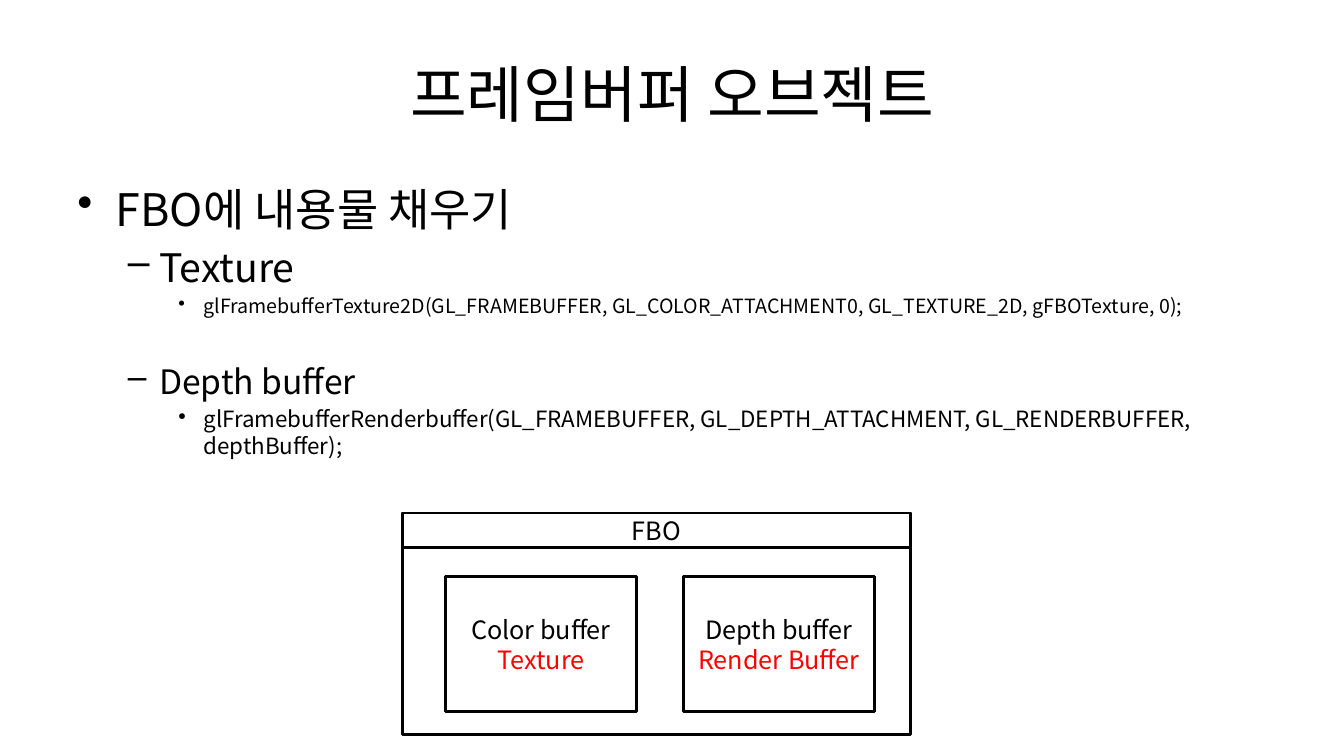
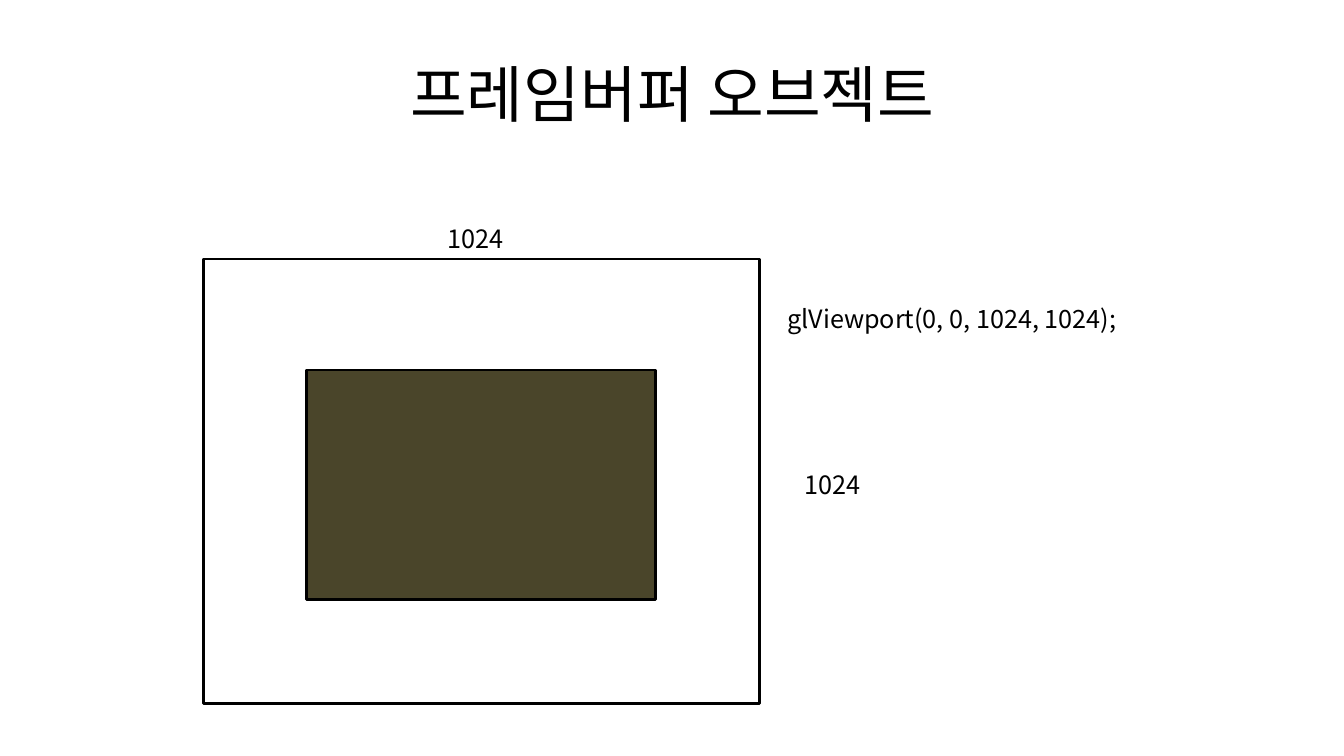
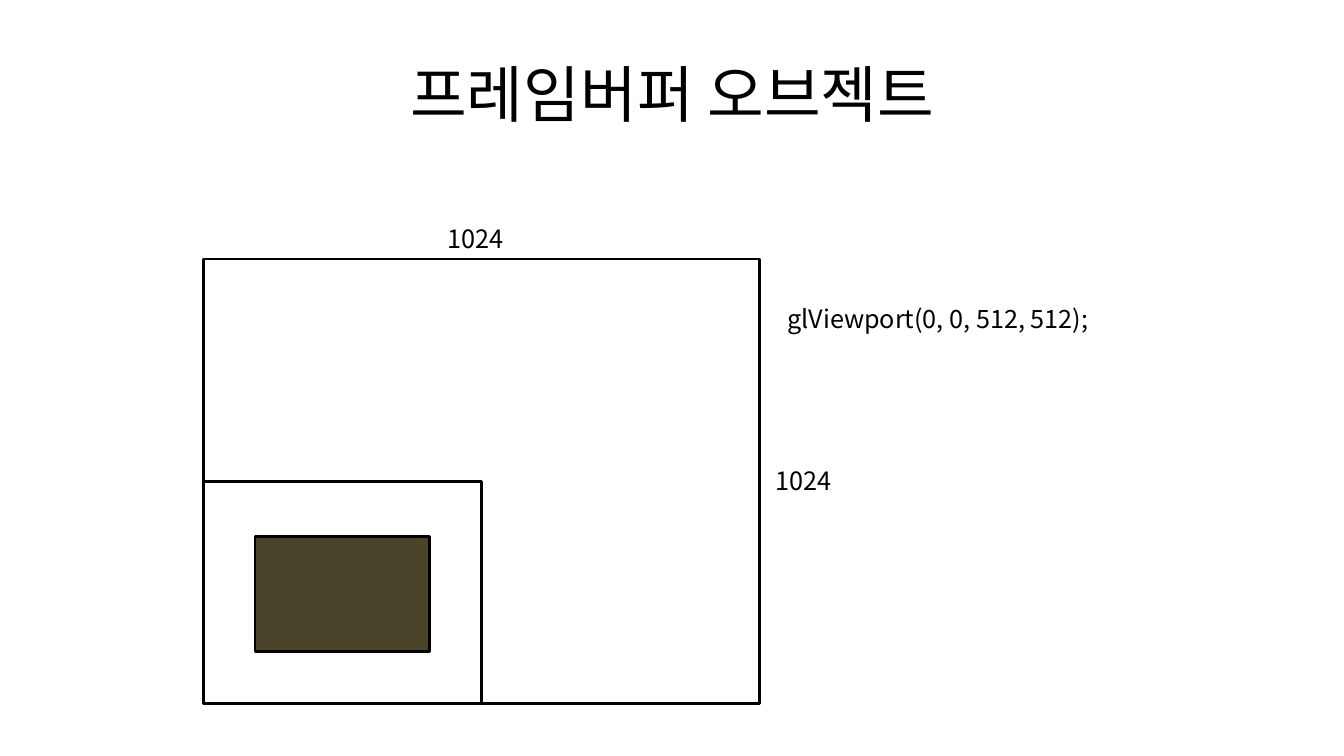
from dataclasses import dataclass

from lxml import etree
from pptx import Presentation
from pptx.dml.color import RGBColor
from pptx.enum.shapes import MSO_SHAPE
from pptx.enum.text import MSO_ANCHOR, PP_ALIGN
from pptx.oxml.ns import qn
from pptx.util import Inches, Pt

RECTANGLE = MSO_SHAPE.RECTANGLE
MIDDLE, TOP = MSO_ANCHOR.MIDDLE, MSO_ANCHOR.TOP
CENTER, LEFT = PP_ALIGN.CENTER, PP_ALIGN.LEFT


@dataclass(frozen=True)
class Theme:
    font: str = "Noto Sans CJK KR"
    black: RGBColor = RGBColor(0, 0, 0)
    white: RGBColor = RGBColor(255, 255, 255)
    red: RGBColor = RGBColor(255, 0, 0)
    olive: RGBColor = RGBColor(0x4A, 0x45, 0x2A)
    title_size: float = 44
    label_size: float = 18
    line_width: float = 2
    bullets: tuple = (("•", 0.38, 0.38), ("–", 0.81, 0.31), ("•", 1.25, 0.25))


class Deck:
    def __init__(self, theme):
        self.theme = theme
        self.presentation = Presentation()
        self.presentation.slide_width = Inches(13.33)
        self.presentation.slide_height = Inches(7.5)
        self.slide = None

    def add_slide(self, title):
        layout = self.presentation.slide_layouts[5]
        self.slide = self.presentation.slides.add_slide(layout)
        placeholder = self.slide.shapes.title
        place = {"left": 0.67, "top": 0.3, "width": 12, "height": 1.25}
        for name, value in place.items():
            setattr(placeholder, name, Inches(value))
        frame = placeholder.text_frame
        frame.vertical_anchor = MIDDLE
        self.add_text(frame.paragraphs[0], title, self.theme.title_size, CENTER)

    def add_text(self, paragraph, text, size, alignment=LEFT, color=None):
        paragraph.alignment = alignment
        run = paragraph.add_run()
        run.text = text
        for name, value in {"name": self.theme.font, "size": Pt(size)}.items():
            setattr(run.font, name, value)
        run.font.color.rgb = color or self.theme.black
        east_asian = etree.SubElement(run.font._element, qn("a:ea"))
        east_asian.set("typeface", self.theme.font)

    def label(self, box, text, alignment=LEFT):
        frame = self.slide.shapes.add_textbox(*map(Inches, box)).text_frame
        frame.word_wrap = True
        self.add_text(frame.paragraphs[0], text, self.theme.label_size, alignment)

    def bullet_list(self, box, items):
        frame = self.slide.shapes.add_textbox(*map(Inches, box)).text_frame
        frame.word_wrap = True
        frame.vertical_anchor = TOP
        for index, (level, text, size, extra_space) in enumerate(items):
            paragraph = frame.add_paragraph() if index else frame.paragraphs[0]
            paragraph.level = level
            paragraph.space_before = Pt(size * 0.2 + extra_space)
            self.add_text(paragraph, text, size)
            mark, margin, hanging = self.theme.bullets[level]
            properties = paragraph._p.get_or_add_pPr()
            properties.set("marL", str(Inches(margin)))
            properties.set("indent", str(-Inches(hanging)))
            etree.SubElement(properties, qn("a:buChar")).set("char", mark)

    def rectangle(self, box, lines=(), fill=None, group=None):
        shapes = (group or self.slide).shapes
        shape = shapes.add_shape(RECTANGLE, *map(Inches, box))
        shape.shadow.inherit = False
        shape.fill.solid()
        shape.fill.fore_color.rgb = fill or self.theme.white
        shape.line.color.rgb = self.theme.black
        shape.line.width = Pt(self.theme.line_width)
        frame = shape.text_frame
        frame.vertical_anchor = MIDDLE
        for index, (text, color) in enumerate(lines):
            paragraph = frame.add_paragraph() if index else frame.paragraphs[0]
            self.add_text(paragraph, text, self.theme.label_size, CENTER, color)

    def group(self):
        return self.slide.shapes.add_group_shape()


def add_attachment_slide(deck, title):
    theme = deck.theme
    deck.add_slide(title)
    deck.bullet_list((0.67, 1.75, 12, 4.95), [
        (0, "FBO에 내용물 채우기", 32, 0),
        (1, "Texture", 28, 0),
        (2, "glFramebufferTexture2D(GL_FRAMEBUFFER, GL_COLOR_ATTACHMENT0, "
            "GL_TEXTURE_2D, gFBOTexture, 0);", 14, 0),
        (1, "Depth buffer", 24, 26),
        (2, "glFramebufferRenderbuffer(GL_FRAMEBUFFER, GL_DEPTH_ATTACHMENT, "
            "GL_RENDERBUFFER, depthBuffer);", 16, 0),
    ])
    framebuffer = deck.group()
    deck.rectangle((3.99, 5.09, 5.04, 2.2), group=framebuffer)
    deck.rectangle((3.99, 5.09, 5.04, 0.34), [("FBO", theme.black)],
                   group=framebuffer)
    buffers = [("Color buffer", "Texture"), ("Depth buffer", "Render Buffer")]
    for index, (buffer, storage) in enumerate(buffers):
        deck.rectangle((4.42 + index * 2.36, 5.72, 1.89, 1.34),
                       [(buffer, theme.black), (storage, theme.red)])


def add_viewport_slide(deck, title, pixels, height_label_at):
    target_pixels = 1024
    left, top, width, height = target = (2.02, 2.57, 5.51, 4.41)
    scale = pixels / target_pixels
    viewport_top = top + height * (1 - scale)
    deck.add_slide(title)
    deck.rectangle(target)
    deck.label((3.97, 2.17, 1.5, 0.4), str(target_pixels), CENTER)
    deck.label((*height_label_at, 1.5, 0.4), str(target_pixels), CENTER)
    deck.label((7.71, 2.96, 3.94, 0.4), f"glViewport(0, 0, {pixels}, {pixels});")
    viewport = deck.group()
    if scale < 1:
        deck.rectangle((left, viewport_top, width * scale, height * scale),
                       group=viewport)
    deck.rectangle((left + 1.02 * scale, viewport_top + 1.1 * scale,
                    3.46 * scale, 2.28 * scale),
                   fill=deck.theme.olive, group=viewport)


def main():
    deck = Deck(Theme())
    title = "프레임버퍼 오브젝트"
    add_attachment_slide(deck, title)
    add_viewport_slide(deck, title, 1024, (7.51, 4.61))
    add_viewport_slide(deck, title, 512, (7.22, 4.57))
    deck.presentation.save("out.pptx")


if __name__ == "__main__":
    main()
